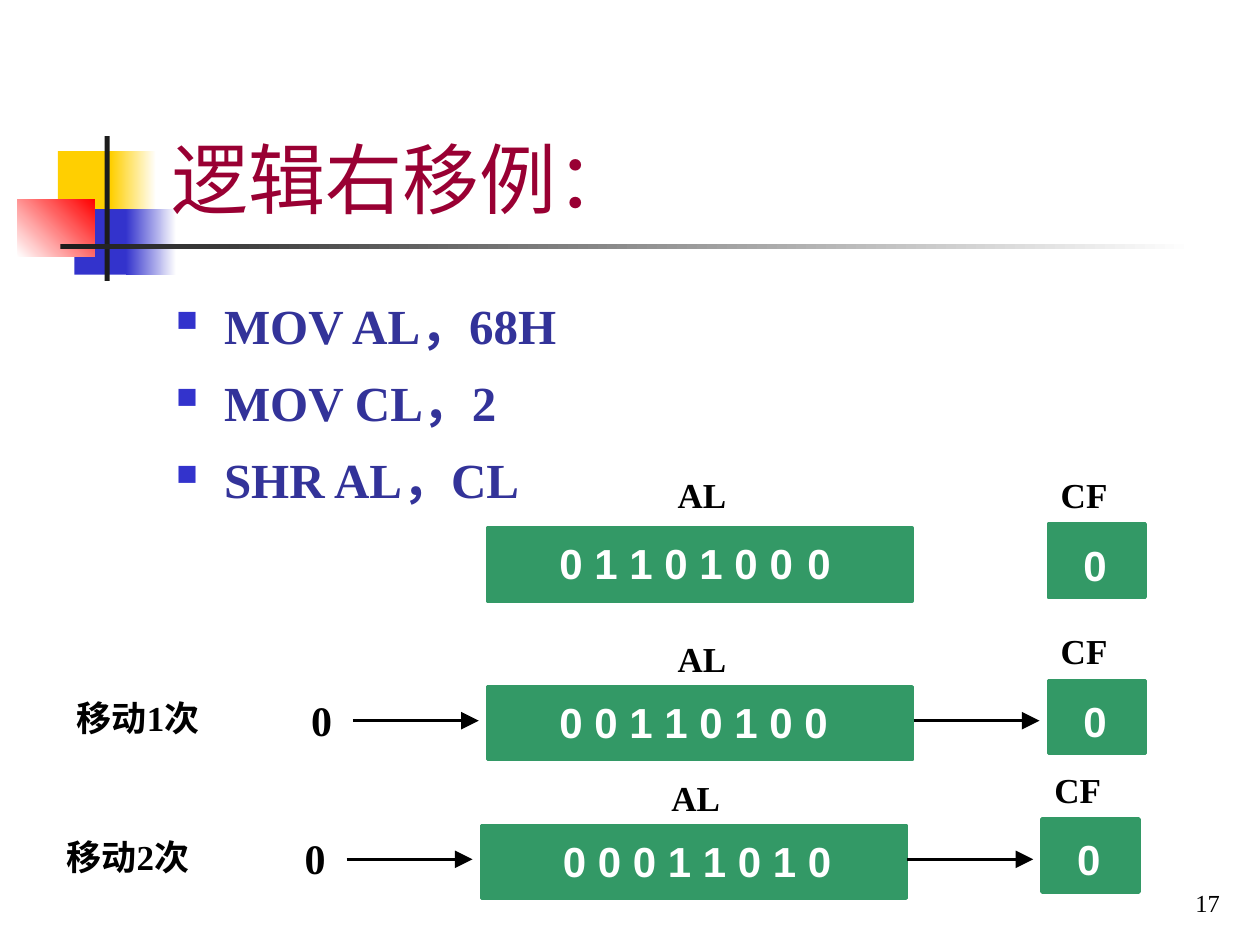
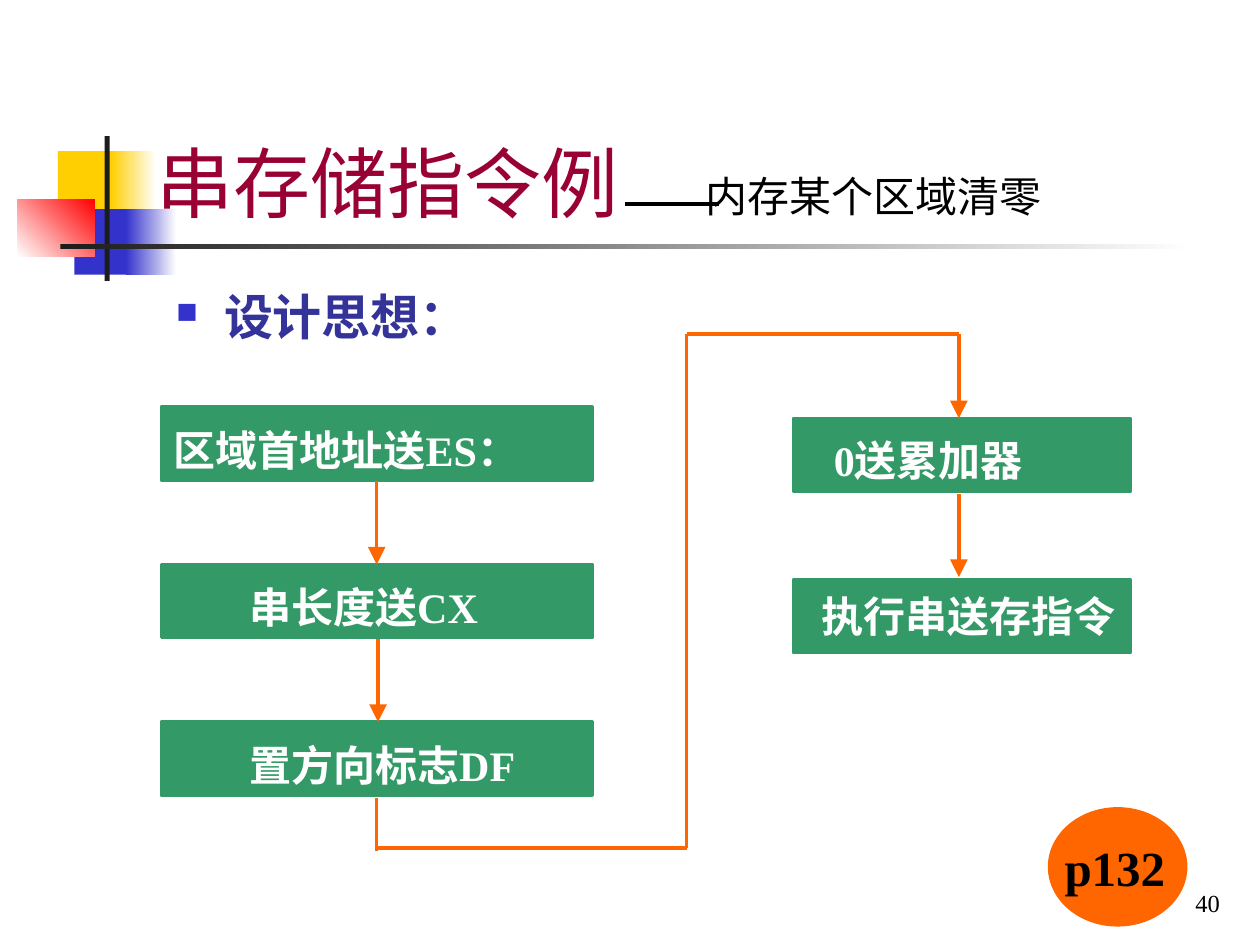
"""Build two slides on logical right shift and string store instructions."""
import pptx
import pptx.dml.color
import pptx.enum.shapes
import pptx.enum.text
import pptx.oxml
import pptx.oxml.ns
import pptx.util
from lxml import etree

RGBColor = pptx.dml.color.RGBColor
SHAPE = pptx.enum.shapes.MSO_SHAPE
ANCHOR = pptx.enum.text.MSO_ANCHOR
qn = pptx.oxml.ns.qn

PX = 9144
SERIF, SANS = "Times New Roman", "Arial"
WHITE = RGBColor(0xFF, 0xFF, 0xFF)
BLACK = RGBColor(0x00, 0x00, 0x00)
YELLOW = RGBColor(0xFF, 0xCF, 0x01)
BLUE = RGBColor(0x33, 0x33, 0xCC)
RED = RGBColor(0xFF, 0x00, 0x00)
CHARCOAL = RGBColor(0x1C, 0x1C, 0x1C)
CRIMSON = RGBColor(0x99, 0x00, 0x33)
INDIGO = RGBColor(0x33, 0x33, 0x99)
GREEN = RGBColor(0x33, 0x99, 0x66)
ORANGE = RGBColor(0xFF, 0x66, 0x00)

DECORATION = [
    ((46, 120, 48, 52), YELLOW, None, 0),
    ((88, 120, 36, 52), YELLOW, WHITE, 0),
    ((59, 166, 46, 52), BLUE, None, 0),
    ((100, 166, 40, 52), BLUE, WHITE, 0),
    ((14, 158, 61, 46), WHITE, RED, 45),
    ((83, 108, 4, 115), CHARCOAL, None, 0),
    ((48, 194, 900, 4), CHARCOAL, WHITE, 0),
]
BULLET = (
    '<a:buClr {0}><a:srgbClr val="{1}"/></a:buClr>',
    '<a:buSzPct {0} val="60000"/>',
    '<a:buChar {0} char="■"/>',
)
NAMESPACE = pptx.oxml.ns.nsdecls("a")


def add_block(page, area, fill, fade=None, angle=0, kind=SHAPE.RECTANGLE, outlined=False):
    block = page.shapes.add_shape(kind, *(length * PX for length in area))
    block.shadow.inherit = False
    if fade is None:
        block.fill.solid()
        block.fill.fore_color.rgb = fill
    else:
        block.fill.gradient()
        block.fill.gradient_angle = angle
        for stop, colour in zip(block.fill.gradient_stops, (fill, fade)):
            stop.color.rgb = colour
    if outlined:
        block.line.color.rgb = fill
        block.line.width = pptx.util.Pt(2)
    else:
        block.line.fill.background()


def add_text(page, text, area, size, colour, bold=True, font=SERIF, anchor=ANCHOR.TOP):
    box = page.shapes.add_textbox(*(length * PX for length in area))
    frame = box.text_frame
    frame.word_wrap = True
    frame.vertical_anchor = anchor
    frame.text = text
    for para in frame.paragraphs:
        for span in para.runs:
            span.font.name = font
            span.font.size = pptx.util.Pt(size)
            span.font.bold = bold
            span.font.color.rgb = colour
    return frame


deck = pptx.Presentation()
deck.slide_width, deck.slide_height = 1000 * PX, 750 * PX

pages = []
for title, title_area, body, body_area, number in [
    ("逻辑右移例：", (126, 23, 852, 160),
     "MOV AL，68H\nMOV CL，2\nSHR AL，CL", (130, 225, 646, 217), "17"),
    ("串存储指令例\t", (114, 94, 772, 92), "设计思想：", (130, 218, 394, 84), "40"),
]:
    page = deck.slides.add_slide(deck.slide_layouts[6])
    for area, fill, fade, angle in DECORATION:
        add_block(page, area, fill, fade, angle)
    title_frame = add_text(page, title, title_area, 44, CRIMSON, False, anchor=ANCHOR.BOTTOM)
    body_frame = add_text(page, body, body_area, 28, INDIGO)
    for index, para in enumerate(body_frame.paragraphs):
        properties = para._p.get_or_add_pPr()
        properties.set("marL", str(38 * PX))
        properties.set("indent", str(-38 * PX))
        for element in BULLET:
            properties.append(pptx.oxml.parse_xml(element.format(NAMESPACE, BLUE)))
        para.line_spacing = 1.1
        para.space_after = pptx.util.Pt(1.8)
        if index:
            para.space_before = pptx.util.Pt(5.2)
    number_frame = add_text(page, number, (770, 683, 208, 50), 14, BLACK, False,
                            anchor=ANCHOR.BOTTOM)
    number_frame.paragraphs[0].alignment = pptx.enum.text.PP_ALIGN.RIGHT
    pages.append(page)

shift_page, store_page = pages
lines = []

for left, top, carry_top, label_top, bit_groups in [
    (387, 419, 416, 371, [("0 1 1 0 1 0", 434, 189), ("0", 601, 47), ("0", 631, 47)]),
    (387, 545, 540, 501, [("0 0 1 1 0 1 0 0", 434, 252)]),
    (382, 655, 650, 611, [("0 0 0 1 1 0 1 0", 437, 260)]),
]:
    add_block(shift_page, (left, top, 337, 58), GREEN, outlined=True)
    add_block(shift_page, (left + 445, carry_top, 77, 58), GREEN, outlined=True)
    for bits, bits_left, width in bit_groups:
        add_text(shift_page, bits, (bits_left, top + 3, width, 50), 24, WHITE, font=SANS)
    add_text(shift_page, "0", (left + 463, carry_top + 7, 47, 50), 24, WHITE, font=SANS)
    add_text(shift_page, "AL", (left + 141, label_top, 75, 44), 20, BLACK)
    add_text(shift_page, "CF", (left + 445, carry_top - 45, 75, 44), 20, BLACK)

for step, (left, top, caption_left) in enumerate([(387, 545, 51), (382, 655, 43)], 1):
    add_text(shift_page, f"移动{step}次", (caption_left, top + 3, 142, 44), 20, BLACK)
    add_text(shift_page, "0", (left - 150, top + 1, 58, 50), 24, BLACK)
    for start in (left - 107, left + 338):
        lines.append((shift_page, BLACK, (start, top + 27, start + 100, top + 27), True))

title_para = title_frame.paragraphs[0]
tabs = etree.SubElement(title_para._p.get_or_add_pPr(), qn("a:tabLst"))
etree.SubElement(tabs, qn("a:tab"), pos=str(436 * PX), algn="l")
subtitle = title_para.add_run()
subtitle.text = "内存某个区域清零"
subtitle.font.name = SERIF
subtitle.font.size = pptx.util.Pt(24)
subtitle.font.color.rgb = BLACK

for text, block_area, text_area in [
    ("区域首地址送ES：", (128, 323, 342, 58), (128, 332, 354, 50)),
    ("串长度送CX", (128, 448, 342, 58), (188, 457, 224, 50)),
    ("置方向标志DF", (128, 573, 342, 58), (188, 582, 257, 50)),
    ("0送累加器", (630, 332, 267, 58), (652, 340, 224, 50)),
    ("执行串送存指令", (630, 460, 267, 58), (642, 464, 258, 50)),
]:
    add_block(store_page, block_area, GREEN, outlined=True)
    add_text(store_page, text, text_area, 24, WHITE)

add_block(store_page, (833, 642, 108, 92), ORANGE, kind=SHAPE.OVAL, outlined=True)
add_text(store_page, "p132", (835, 660, 108, 57), 28, BLACK)

for ends, arrow in [
    ((299, 382, 299, 448), True),
    ((300, 507, 300, 573), True),
    ((761, 265, 761, 332), True),
    ((761, 392, 761, 458), True),
    ((299, 633, 299, 675), False),
    ((298, 673, 545, 673), False),
    ((545, 673, 545, 265), False),
    ((545, 265, 761, 265), False),
]:
    lines.append((store_page, ORANGE, ends, arrow))
lines.append((store_page, BLACK, (496, 162, 571, 162), False))

for page, colour, ends, arrow in lines:
    connector = page.shapes.add_connector(
        pptx.enum.shapes.MSO_CONNECTOR.STRAIGHT, *(length * PX for length in ends))
    connector.line.color.rgb = colour
    connector.line.width = pptx.util.Pt(2)
    if arrow:
        etree.SubElement(connector.line._get_or_add_ln(), qn("a:tailEnd"),
                         type="triangle", w="lg", len="lg")
    etree.SubElement(connector._element.spPr, qn("a:effectLst"))

deck.save("out.pptx")
